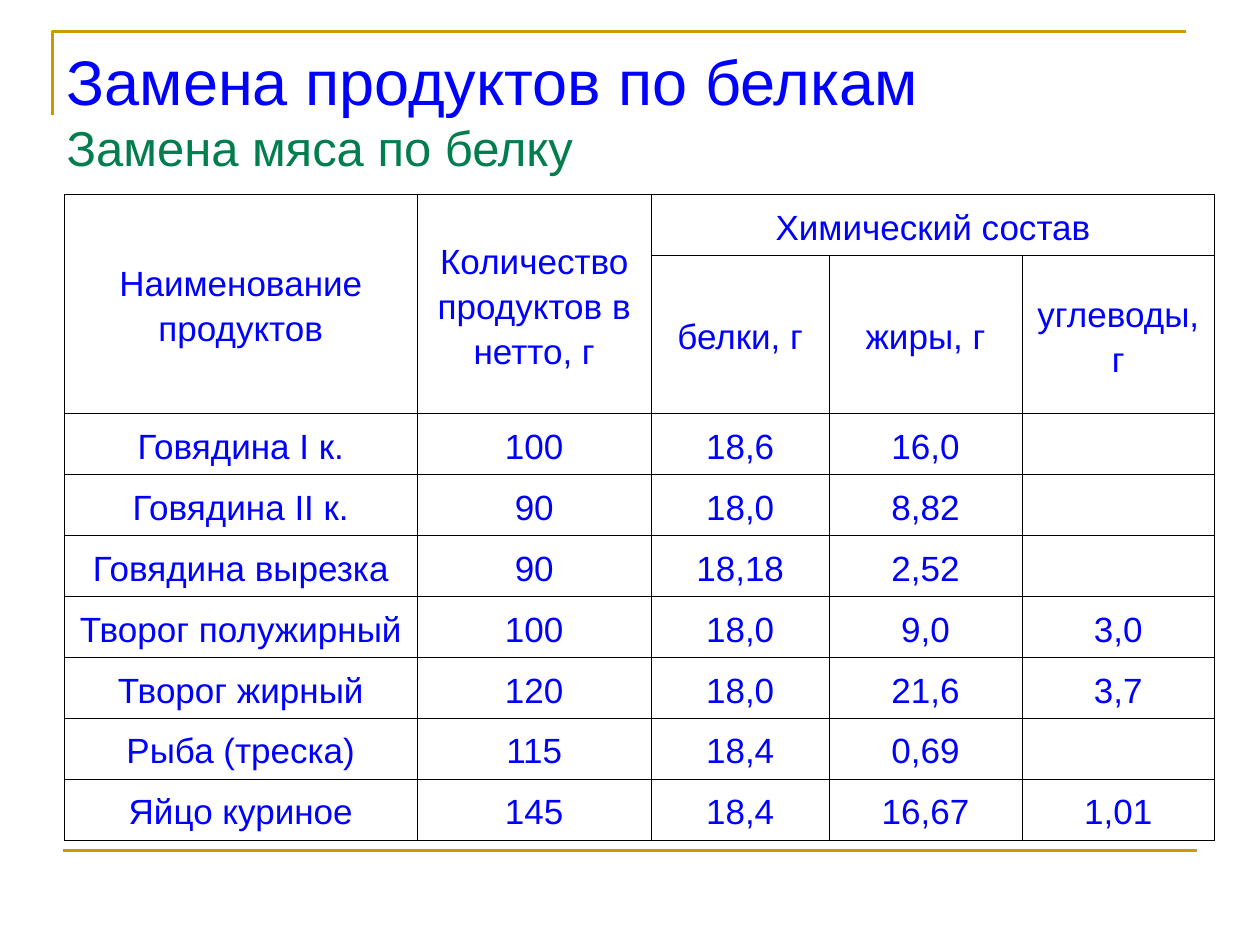
"""Build a slide with a table of protein-equivalent food substitutions."""
import lxml.etree
import pptx
import pptx.dml.color
import pptx.enum.shapes
import pptx.enum.text
import pptx.oxml.ns
import pptx.util

Pt = pptx.util.Pt
qn = pptx.oxml.ns.qn
BLUE, GREEN, GOLD, BLACK = "0000FF", "017D4E", "CC9900", "000000"
COLUMN_WIDTHS = [201.6, 133.8, 101.6, 110.2, 110.2]
ROW_HEIGHT, SUBHEADER_HEIGHT = 34.86, 90.3
HEADERS = [
    ["Наименование продуктов", "Количество продуктов в нетто, г", "Химический состав", "", ""],
    ["", "", "белки, г", "жиры, г", "углеводы, г"],
]
PRODUCTS = [
    ["Говядина I к.", "100", "18,6", "16,0", ""],
    ["Говядина II к.", "90", "18,0", "8,82", ""],
    ["Говядина вырезка", "90", "18,18", "2,52", ""],
    ["Творог полужирный", "100", "18,0", "9,0", "3,0"],
    ["Творог жирный", "120", "18,0", "21,6", "3,7"],
    ["Рыба (треска)", "115", "18,4", "0,69", ""],
    ["Яйцо куриное", "145", "18,4", "16,67", "1,01"],
]


def rgb(value):
    return pptx.dml.color.RGBColor.from_string(value)


def write(para, text, size=20, color=BLUE, align=None, spacing=None):
    para.alignment = align
    para.line_spacing = spacing
    if text:
        span = para.add_run()
        span.text = text
        span.font.name = "Arial"
        span.font.size = Pt(size)
        span.font.color.rgb = rgb(color)


def style_line(shape):
    shape.line.color.rgb = rgb(GOLD)
    shape.line.width = Pt(1.5)


def add_corner(page, left, top, right, bottom):
    builder = page.shapes.build_freeform(Pt(left), Pt(bottom))
    builder.add_line_segments([(Pt(left), Pt(top)), (Pt(right), Pt(top))], close=False)
    corner = builder.convert_to_shape()
    corner.fill.background()
    corner.shadow.inherit = False
    style_line(corner)


def add_rule(page, left, right, top):
    rule = page.shapes.add_connector(
        pptx.enum.shapes.MSO_CONNECTOR.STRAIGHT, Pt(left), Pt(top), Pt(right), Pt(top))
    style_line(rule)
    properties = rule._element.find(qn("p:spPr"))
    lxml.etree.SubElement(properties, qn("a:effectLst"))


def add_title(page, left, top, width, height):
    box = page.shapes.add_textbox(Pt(left), Pt(top), Pt(width), Pt(height))
    frame = box.text_frame
    frame.word_wrap = True
    frame.vertical_anchor = pptx.enum.text.MSO_ANCHOR.BOTTOM
    write(frame.paragraphs[0], "Замена продуктов по белкам", size=36)
    write(frame.add_paragraph(), "Замена мяса по белку", size=28, color=GREEN)


def add_borders(cell, color, width):
    properties = cell._tc.get_or_add_tcPr()
    for index, side in enumerate(("lnL", "lnR", "lnT", "lnB")):
        border = lxml.etree.Element(qn(f"a:{side}"), w=str(Pt(width)))
        fill = lxml.etree.SubElement(border, qn("a:solidFill"))
        lxml.etree.SubElement(fill, qn("a:srgbClr"), val=color)
        properties.insert(index, border)


def fill_cell(cell, text):
    cell.fill.background()
    cell.vertical_anchor = pptx.enum.text.MSO_ANCHOR.MIDDLE
    add_borders(cell, BLACK, 0.45)
    write(cell.text_frame.paragraphs[0], text,
          align=pptx.enum.text.PP_ALIGN.CENTER, spacing=1.15)


def add_product_table(page, left, top):
    rows = HEADERS + PRODUCTS
    heights = [ROW_HEIGHT, SUBHEADER_HEIGHT] + [ROW_HEIGHT] * len(PRODUCTS)
    table = page.shapes.add_table(
        len(rows), len(COLUMN_WIDTHS), Pt(left), Pt(top),
        Pt(sum(COLUMN_WIDTHS)), Pt(sum(heights))).table
    table.first_row = False
    table.horz_banding = False
    for column, width in zip(table.columns, COLUMN_WIDTHS):
        column.width = Pt(width)
    for row, height, texts in zip(table.rows, heights, rows):
        row.height = Pt(height)
        for cell, text in zip(row.cells, texts):
            fill_cell(cell, text)
    for first, last in (((0, 0), (1, 0)), ((0, 1), (1, 1)), ((0, 2), (0, 4))):
        table.cell(*first).merge(table.cell(*last))


def main():
    deck = pptx.Presentation()
    deck.slide_width, deck.slide_height = Pt(720), Pt(540)
    page = deck.slides.add_slide(deck.slide_layouts[6])
    add_corner(page, left=30, top=18, right=678, bottom=66)
    add_rule(page, left=36, right=684, top=486)
    add_product_table(page, left=36.8, top=111.2)
    add_title(page, left=31, top=20.2, width=652, height=84.2)
    deck.save("out.pptx")


if __name__ == "__main__":
    main()
